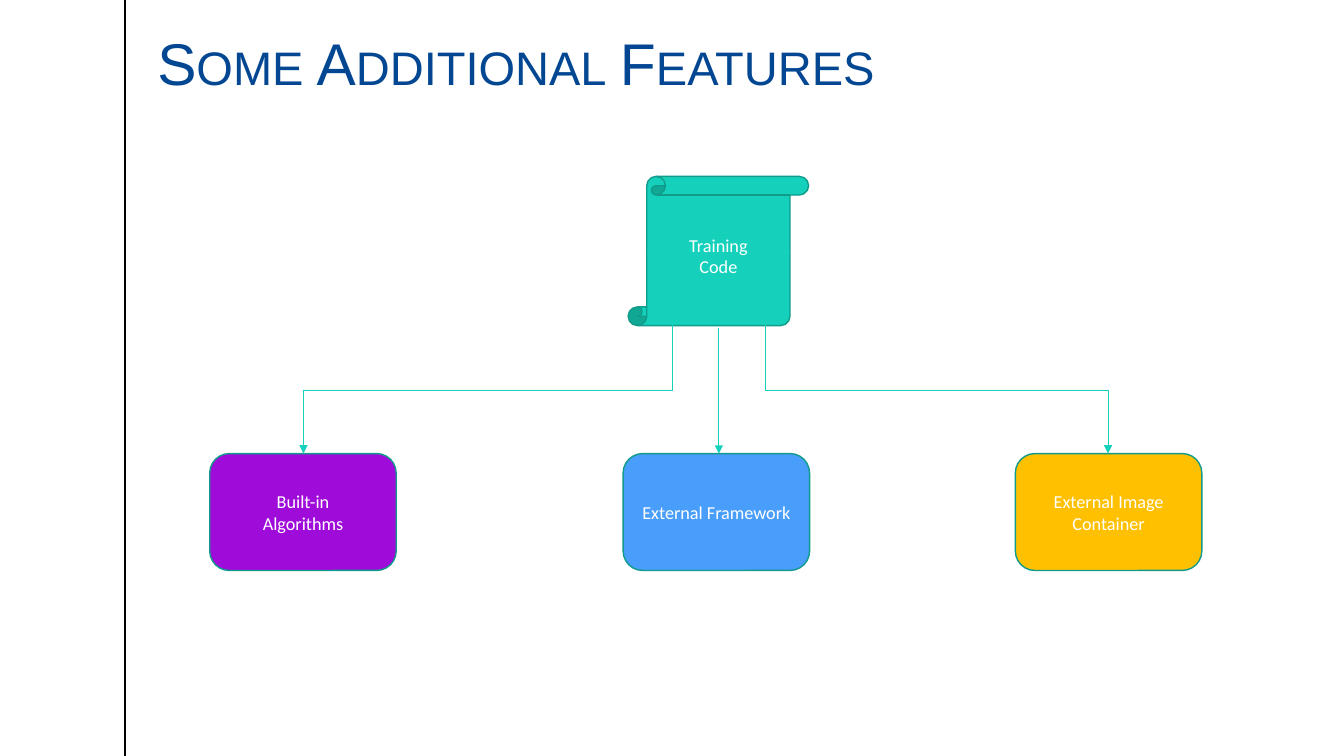
from pptx import Presentation
from pptx.dml.color import RGBColor
from pptx.enum.shapes import MSO_CONNECTOR as Link, MSO_SHAPE as Shape
from pptx.enum.text import MSO_ANCHOR as Anchor, MSO_AUTO_SIZE as Fit, PP_ALIGN as Align
from pptx.oxml.ns import qn
from pptx.util import Inches, Pt
from lxml.etree import SubElement

WIDTH, HEIGHT = 13.33, 7.5
TITLE = "Some Additional Features"
TEAL, EDGE, WHITE = "15D1BB", "109B8A", "FFFFFF"
BOX_TOP, BOX_WIDTH, BOX_HEIGHT = 0.6 * HEIGHT, 1.85, 1.16
BOXES = [
    (2.08, "9F0CD9", ["Built-in", "Algorithms"]),
    (6.18, "499DFB", ["External Framework"]),
    (10.07, "FFC000", ["External Image Container"]),
]
SCROLL = (6.23, 1.75, 1.79, 1.48)
SCROLL_LINES = ["Training", "Code"]
SIDES = [(6.42, 3.01), (7.84, 10.99)]
SIDE_TOP, JOG, DROP = HEIGHT / 3, 0.25, 0.685
CENTRE = 7.13


def color(value):
    return RGBColor.from_string(value)


def apply(target, values):
    for name, value in values.items():
        setattr(target, name, value)


def add_node(page, kind, place, fill, lines):
    box = page.shapes.add_shape(kind, *map(Inches, place))
    box.shadow.inherit = False
    box.fill.solid()
    box.fill.fore_color.rgb = color(fill)
    box.line.color.rgb = color(EDGE)
    box.line.width = Pt(1)
    frame = box.text_frame
    apply(frame, {"word_wrap": True, "vertical_anchor": Anchor.MIDDLE})
    for index, line in enumerate(lines):
        para = frame.add_paragraph() if index else frame.paragraphs[0]
        para.alignment = Align.CENTER
        span = para.add_run()
        span.text = line
        apply(span.font, {"name": "Calibri", "size": Pt(13)})
        span.font.color.rgb = color(WHITE)


def add_line(page, kind, ends, stroke, width, arrow=True):
    link = page.shapes.add_connector(kind, *map(Inches, ends))
    link.line.color.rgb = color(stroke)
    link.line.width = Pt(width)
    if arrow:
        SubElement(link.line._get_or_add_ln(), qn("a:tailEnd"), type="triangle")
    SubElement(link._element.spPr, qn("a:effectLst"))
    return link


def add_elbow(page, start, end):
    link = add_line(page, Link.ELBOW, (start, SIDE_TOP, end, BOX_TOP), TEAL, 0.75)
    geometry = link._element.spPr.find(qn("a:prstGeom"))
    geometry.set("prst", "bentConnector4")
    guides = geometry.find(qn("a:avLst"))
    for name, share in (("adj1", -JOG / abs(end - start)), ("adj2", DROP)):
        SubElement(guides, qn("a:gd"), name=name, fmla=f"val {round(share * 100000)}")


def add_title(page):
    title = page.shapes.title
    apply(title, dict(zip(("left", "top", "width", "height"),
                          map(Inches, (1.56, 0.32, 11.35, 0.7)))))
    frame = title.text_frame
    apply(frame, {"margin_left": 0, "margin_right": 0, "word_wrap": True,
                  "auto_size": Fit.NONE, "vertical_anchor": Anchor.BOTTOM})
    para = frame.paragraphs[0]
    apply(para, {"alignment": Align.LEFT, "line_spacing": 0.9})
    span = para.add_run()
    span.text = TITLE
    apply(span.font, {"name": "Arial", "size": Pt(42)})
    span.font.color.rgb = color("034793")
    span.font._element.set("cap", "small")


def main():
    deck = Presentation()
    apply(deck, {"slide_width": Inches(WIDTH), "slide_height": Inches(HEIGHT)})
    page = deck.slides.add_slide(deck.slide_layouts[5])
    add_line(page, Link.STRAIGHT, (1.24, 0, 1.24, HEIGHT), "000000", 1, arrow=False)
    add_title(page)
    add_node(page, Shape.VERTICAL_SCROLL, SCROLL, TEAL, SCROLL_LINES)
    for left, fill, lines in BOXES:
        place = (left, BOX_TOP, BOX_WIDTH, BOX_HEIGHT)
        add_node(page, Shape.ROUNDED_RECTANGLE, place, fill, lines)
    for start, end in SIDES:
        add_elbow(page, start, end)
    add_line(page, Link.STRAIGHT, (CENTRE, 3.25, CENTRE, BOX_TOP), TEAL, 0.75)
    deck.save("out.pptx")


if __name__ == "__main__":
    main()
